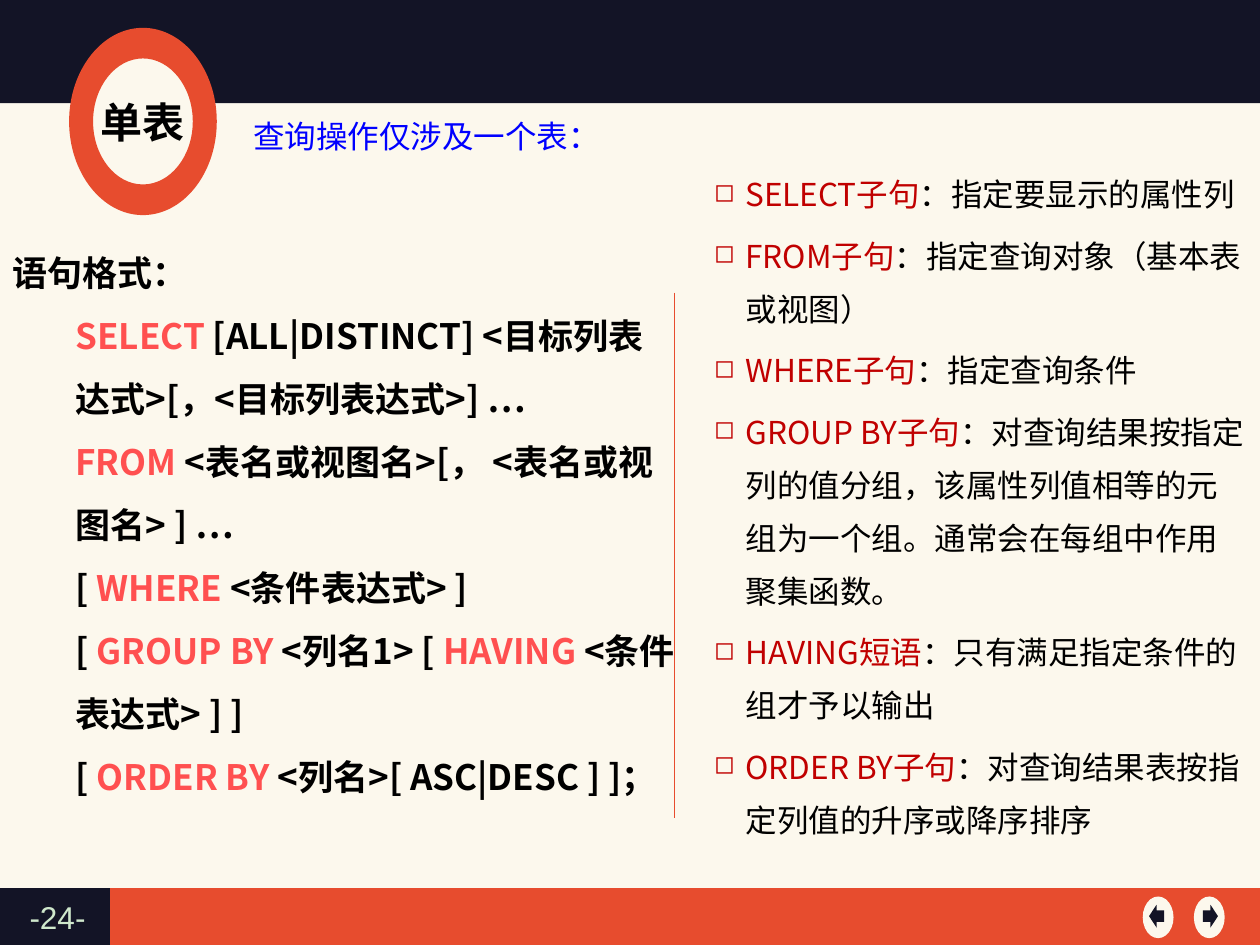
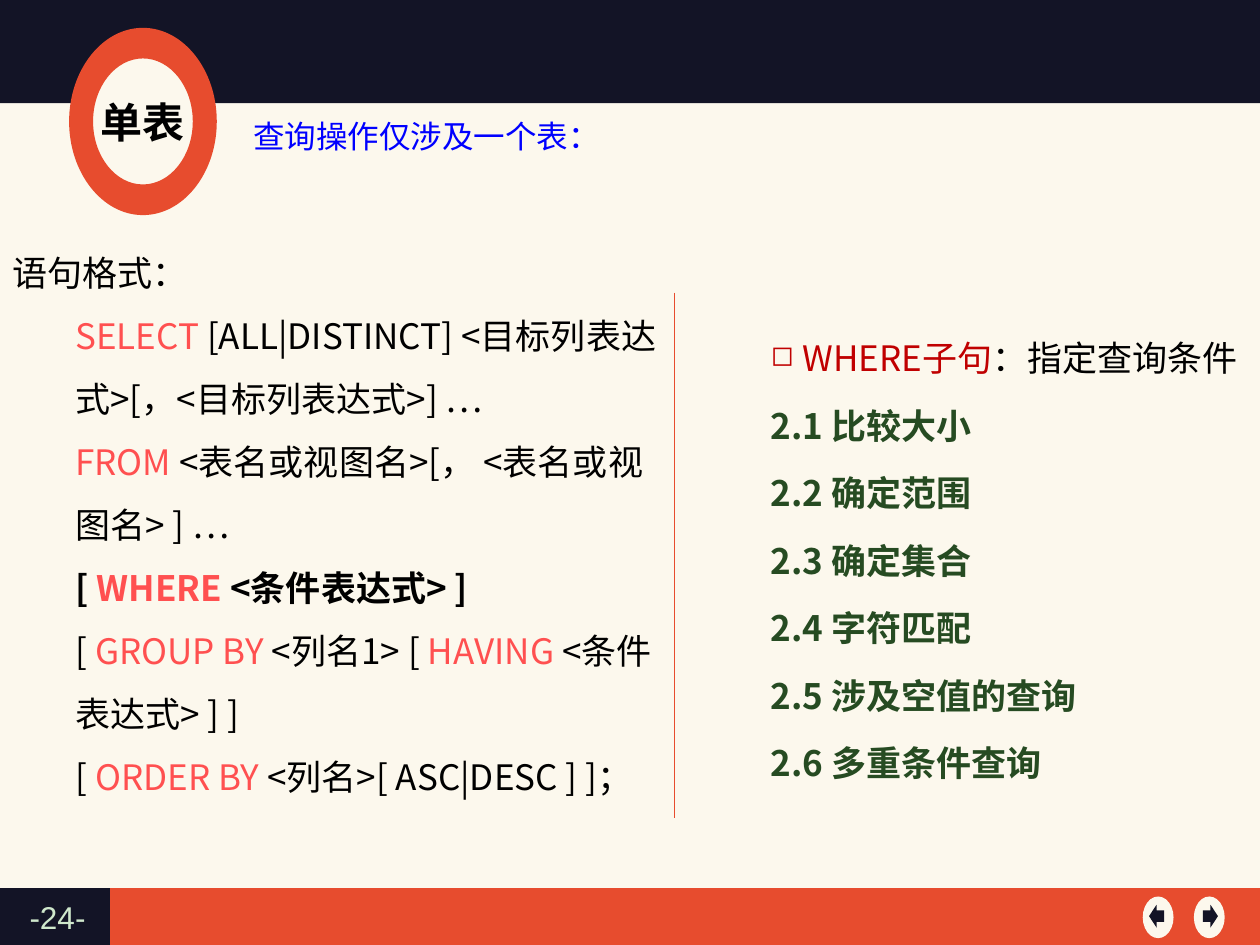
from lxml import etree
from pptx import Presentation
from pptx.dml.color import RGBColor
from pptx.enum import shapes, text
from pptx.oxml.ns import qn
from pptx.util import Pt

CREAM, NAVY, ORANGE = "FCF8ED", "131426", "E74C2E"
BLACK, BLUE, MINT = "000000", "0000FF", "CFE8CC"
CORAL, RED, GREEN = "FF5050", "C00000", "264B22"
CJK = "Noto Sans CJK SC"
KIND = shapes.MSO_SHAPE
UP, RIGHT, DOWN, LEFT = (0, -1), (1, 0), (0, 1), (-1, 0)

# Words between asterisks take the accent colour.
SYNTAX = [
    "*SELECT* [ALL|DISTINCT] <目标列表达式>[，<目标列表达式>] …",
    "*FROM* <表名或视图名>[， <表名或视图名> ] …",
    "[ *WHERE* <条件表达式> ]",
    "[ *GROUP BY* <列名1> [* HAVING* <条件表达式> ] ]",
    "[ *ORDER BY* <列名>[ ASC|DESC ] ]；",
]
WHERE = "*WHERE子句*：指定查询条件"
CLAUSES = [
    "*SELECT子句*：指定要显示的属性列",
    "*FROM子句*：指定查询对象（基本表或视图）",
    WHERE,
    "*GROUP BY子句*：对查询结果按指定列的值分组，该属性列值相等的元组为一个组。"
    "通常会在每组中作用聚集函数。",
    "*HAVING短语*：只有满足指定条件的组才予以输出",
    "*ORDER BY子句*：对查询结果表按指定列值的升序或降序排序",
]
TOPICS = ["比较大小", "确定范围", "确定集合", "字符匹配", "涉及空值的查询", "多重条件查询"]


def color(code):
    return RGBColor.from_string(code)


def paint(shape, code):
    shape.shadow.inherit = False
    shape.fill.solid()
    shape.fill.fore_color.rgb = color(code)
    shape.line.fill.background()


def block(parent, kind, box, code):
    shape = parent.add_shape(kind, *map(Pt, box))
    paint(shape, code)
    return shape


def arc(x, y, rx, ry, sides):
    """Start point, then two controls and an end for each quarter ellipse."""
    points = [sides[0]]
    for (ax, ay), (bx, by) in zip(sides, sides[1:]):
        points += [(ax + 0.55 * bx, ay + 0.55 * by),
                   (bx + 0.55 * ax, by + 0.55 * ay), (bx, by)]
    return [(x + rx * px, y + ry * py) for px, py in points]


def bend(shape, straight):
    """Turn the segments after the straight ones of each outline into curves."""
    for outer in shape._element.iter(qn("a:path")):
        count = 0
        for step in list(outer):
            if step.tag != qn("a:lnTo"):
                count = 0
                continue
            count += 1
            if count <= straight:
                continue
            if (count - straight) % 3 == 1:
                curve = etree.Element(qn("a:cubicBezTo"))
                step.addprevious(curve)
            curve.append(step[0])
            outer.remove(step)


def outline(slide, paths, code, straight=0):
    paths = [[(Pt(x), Pt(y)) for x, y in path] for path in paths]
    pen = slide.shapes.build_freeform(*paths[0][0])
    for i, path in enumerate(paths):
        if i:
            pen.move_to(*path[0])
        pen.add_line_segments(path[1:], close=True)
    shape = pen.convert_to_shape()
    bend(shape, straight)
    paint(shape, code)
    return shape


def style(para, size, code, face=CJK, bold=False):
    font = para.font
    font.size, font.name, font.bold = Pt(size), face, bold
    font.color.rgb = color(code)
    base = para._p.pPr.find(qn("a:defRPr"))
    base.find(qn("a:latin")).addnext(etree.Element(qn("a:ea"), typeface=face))


def write(para, words, accent):
    for i, part in enumerate(words.split("*")):
        if part:
            run = para.add_run()
            run.text = part
            if i % 2:
                run.font.color.rgb = color(accent)


def indent(para, left, first=0):
    para.level = 1
    props = para._p.get_or_add_pPr()
    props.set("marL", str(Pt(left)))
    props.set("indent", str(Pt(first)))


def bullet(para, code):
    props = para._p.get_or_add_pPr()
    tint = etree.SubElement(props, qn("a:buClr"))
    etree.SubElement(tint, qn("a:srgbClr"), val=code)
    etree.SubElement(props, qn("a:buSzPct"), val="80000")
    etree.SubElement(props, qn("a:buChar"), char="◻")


def frame(slide, box):
    body = slide.shapes.add_textbox(*map(Pt, box)).text_frame
    body.word_wrap = True
    return body


def lines(body, count):
    return [body.paragraphs[0]] + [body.add_paragraph() for _ in range(count - 1)]


def label(slide, box, words, code, face=CJK):
    para = frame(slide, box).paragraphs[0]
    para.text = words
    style(para, 18, code, face)


def button(slide, x, kind, shift):
    group = slide.shapes.add_group_shape().shapes
    block(group, KIND.OVAL, (x, 512.3, 17.6, 23.8), CREAM)
    block(group, kind, (x + shift, 517, 8.6, 13), NAVY)


def footer(slide):
    block(slide.shapes, KIND.RECTANGLE, (0, 507.5, 720, 32.8), ORANGE)
    block(slide.shapes, KIND.RECTANGLE, (0, 507.5, 62.8, 32.8), NAVY)
    button(slide, 682.2, KIND.RIGHT_ARROW, 5.2)
    button(slide, 653, KIND.LEFT_ARROW, 3.6)


def header(slide):
    edge = [(45.4, 59), (0, 59), (0, -2), (720.5, -2), (720.5, 59), (112.3, 59)]
    notch = arc(79.2, 57.6, 33.1, 36.7, [RIGHT, UP, LEFT])
    outline(slide, [edge + notch], NAVY, straight=len(edge))
    turn = [UP, RIGHT, DOWN, LEFT, UP]
    rings = [arc(81.7, 69.4, rx, ry, turn) for rx, ry in ((42.2, 53.5), (28.5, 36))]
    body = outline(slide, rings, ORANGE).text_frame
    body.word_wrap = True
    body.vertical_anchor = text.MSO_ANCHOR.MIDDLE
    para = body.paragraphs[0]
    para.text = "单表"
    para.alignment = text.PP_ALIGN.CENTER
    style(para, 24, BLACK, bold=True)
    label(slide, (9.8, 509.5, 55, 29), "-24-", MINT, "Arial")


def divider(slide):
    line = slide.shapes.add_connector(
        shapes.MSO_CONNECTOR.STRAIGHT, Pt(385.6), Pt(167.2), Pt(385.6), Pt(467.4))
    line.line.fill.solid()
    line.line.fill.fore_color.rgb = color(ORANGE)
    line.line.width = Pt(0.5)
    root = line._element
    etree.SubElement(root.spPr, qn("a:effectLst"))
    root.remove(root.find(qn("p:style")))


def syntax(slide, strong):
    """Statement format, with the lines whose numbers are in strong set bold."""
    words = ["语句格式："] + SYNTAX
    body = frame(slide, (0, 128.3, 393, 367))
    for i, para in enumerate(lines(body, len(words))):
        if i:
            indent(para, 36)
        para.line_spacing = 1.5
        write(para, words[i], CORAL)
        style(para, 20, BLACK, bold=i in strong)


def notes(slide, box, size, clauses, topics=()):
    words = list(clauses) + [f"2.{i} {name}" for i, name in enumerate(topics, 1)]
    for i, para in enumerate(lines(frame(slide, box), len(words))):
        topic = i >= len(clauses)
        indent(para, 54, -18)
        para.line_spacing = 1.4
        if i:
            para.space_before = Pt(5)
        if not topic:
            bullet(para, RED)
        write(para, words[i], RED)
        style(para, size, GREEN if topic else BLACK, bold=topic)


def page(deck, strong, *right):
    slide = deck.slides.add_slide(deck.slide_layouts[6])
    slide.background.fill.solid()
    slide.background.fill.fore_color.rgb = color(MINT)
    block(slide.shapes, KIND.RECTANGLE, (0, 0, 720, 540), CREAM)
    footer(slide)
    divider(slide)
    syntax(slide, strong)
    header(slide)
    notes(slide, *right)
    label(slide, (137.5, 63.4, 287, 29), "查询操作仅涉及一个表：", BLUE)


def main():
    deck = Presentation()
    deck.slide_width, deck.slide_height = Pt(720), Pt(540)
    page(deck, range(6), (365, 88, 355, 441), 18, CLAUSES)
    page(deck, [3], (397.4, 179.3, 332, 272), 20, [WHERE], TOPICS)
    deck.save("out.pptx")


if __name__ == "__main__":
    main()
